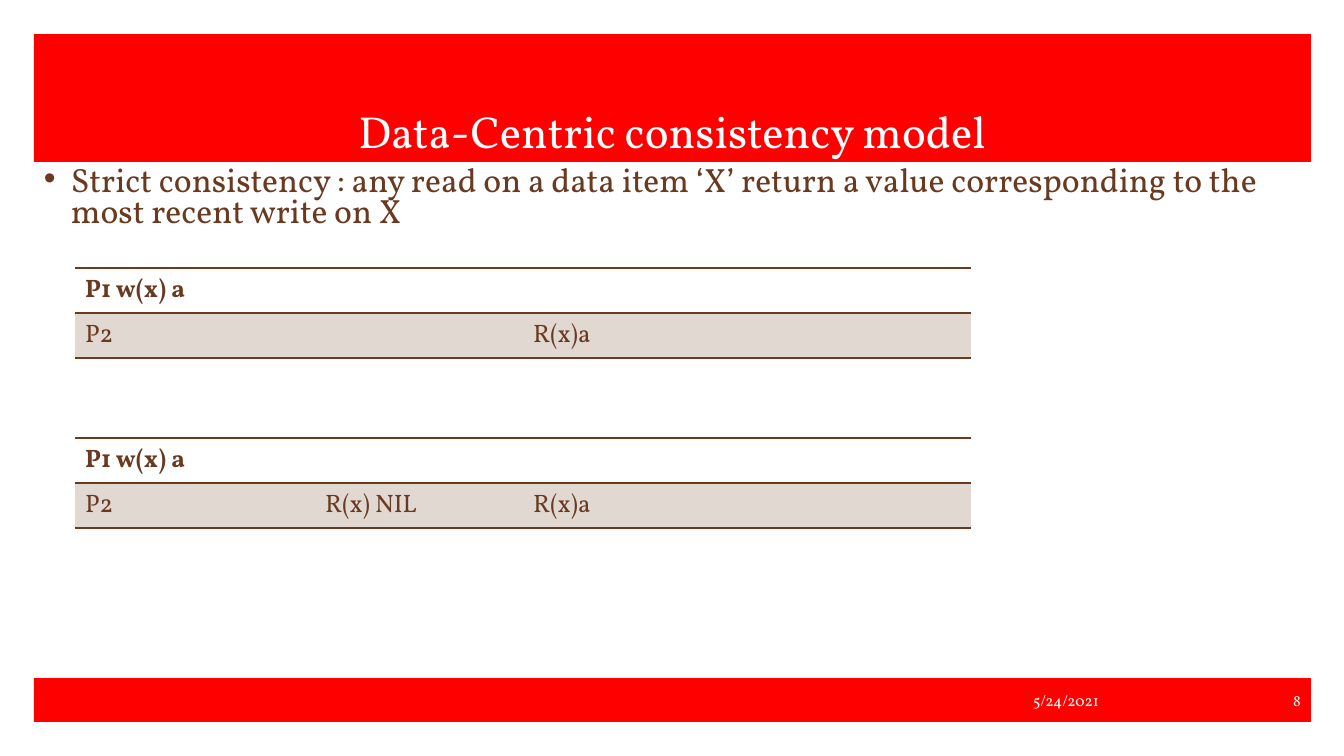
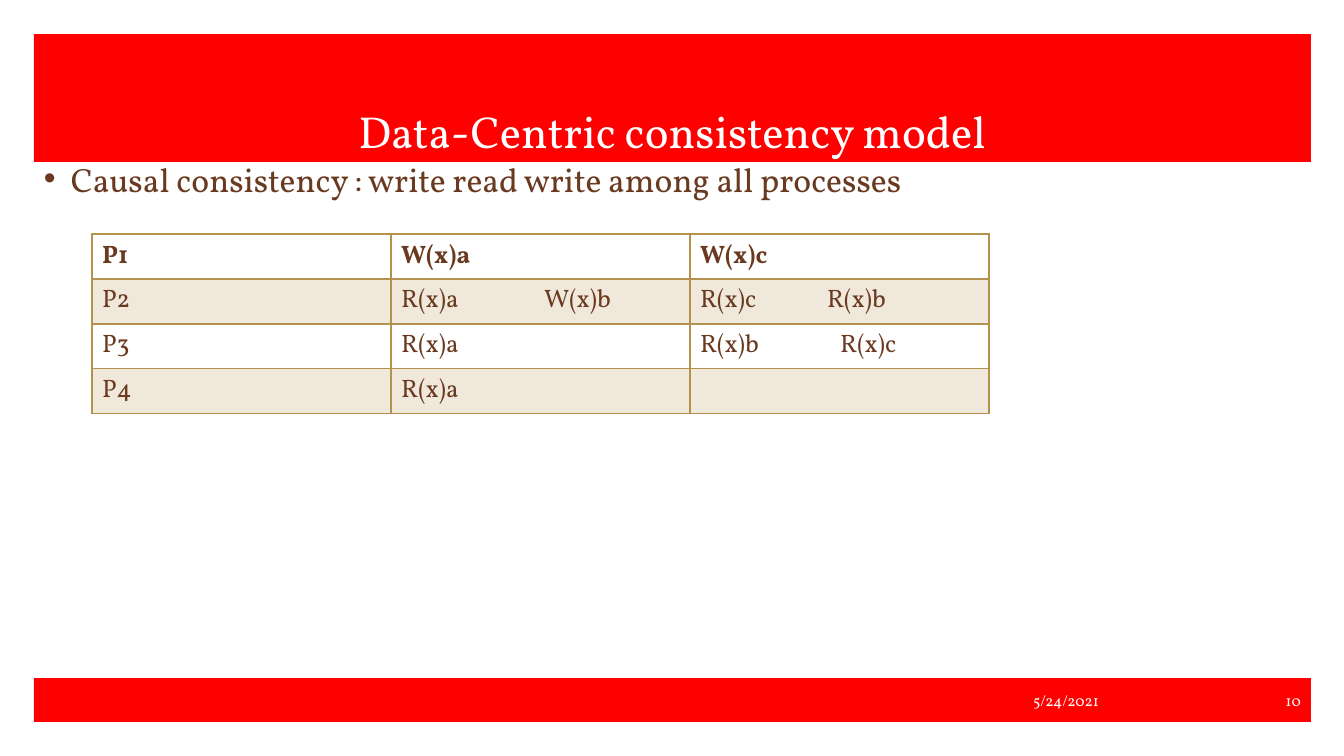
"""Two slides on data-centric consistency models, with tables of reads and writes."""
from lxml.etree import SubElement
from pptx import Presentation
from pptx.dml.color import RGBColor
from pptx.enum.shapes import MSO_SHAPE as SHAPE
from pptx.enum.text import MSO_ANCHOR as ANCHOR, PP_ALIGN as ALIGN
from pptx.oxml.ns import qn
from pptx.util import Emu, Pt

RED = RGBColor(0xFF, 0x00, 0x00)
WHITE = RGBColor(0xFF, 0xFF, 0xFF)
BROWN = RGBColor(0x6A, 0x3A, 0x20)
BROWN_TINT = RGBColor(0xE1, 0xD8, 0xD2)
GOLD = RGBColor(0xB4, 0x91, 0x4C)
GOLD_TINT = RGBColor(0xF0, 0xE9, 0xDB)
FONT = "Vollkorn"
EMU_PER_PX = 914400 / 100.8
LEFT, WIDTH, ROW_HEIGHT = 34, 1277, 45


def px(n):
    return Emu(round(n * EMU_PER_PX))


def write(tf, text, size=18, color=BROWN, bold=False, align=ALIGN.LEFT,
          anchor=ANCHOR.TOP, spacing=None, bullet=None, indent=0, tab=None):
    tf.word_wrap = True
    tf.vertical_anchor = anchor
    p = tf.paragraphs[0]
    p.alignment = align
    if spacing:
        p.line_spacing = spacing
    pPr = p._p.get_or_add_pPr()
    if bullet:
        pPr.set("marL", str(px(indent)))
        pPr.set("indent", str(-px(indent)))
        SubElement(pPr, qn("a:buFont"), typeface="Arial")
        SubElement(pPr, qn("a:buChar"), char=bullet)
    if tab:
        tabs = SubElement(pPr, qn("a:tabLst"))
        SubElement(tabs, qn("a:tab"), pos=str(px(tab)), algn="l")
    r = p.add_run()
    r.text = text
    r.font.name, r.font.size, r.font.bold = FONT, Pt(size), bold
    r.font.color.rgb = color


def set_borders(cell, color, **widths):
    tcPr = cell._tc.get_or_add_tcPr()
    for side in "LRTB":
        width = widths.get(side, 0)
        ln = SubElement(tcPr, qn(f"a:ln{side}"), w=str(Pt(width)))
        if width:
            fill = SubElement(ln, qn("a:solidFill"))
            SubElement(fill, qn("a:srgbClr"), val=str(color))
        else:
            SubElement(ln, qn("a:noFill"))


class Deck:
    def __init__(self):
        self.prs = Presentation()
        self.prs.slide_width, self.prs.slide_height = px(1344), px(756)
        self.s = None

    def slide(self, title, date, number):
        self.s = self.prs.slides.add_slide(self.prs.slide_layouts[6])
        self.band(LEFT, 34, WIDTH, 128, title, size=32, align=ALIGN.CENTER,
                  anchor=ANCHOR.BOTTOM)
        split = 1109
        for x, right, text in ((LEFT, split, date), (split, LEFT + WIDTH, number)):
            self.band(x, 678, right - x, 44, text, size=11, align=ALIGN.RIGHT,
                      anchor=ANCHOR.MIDDLE)

    def band(self, x, y, w, h, text, **style):
        sp = self.s.shapes.add_shape(SHAPE.RECTANGLE, px(x), px(y), px(w), px(h))
        sp.shadow.inherit = False
        sp.fill.solid()
        sp.fill.fore_color.rgb = RED
        sp.line.fill.background()
        write(sp.text_frame, text, color=WHITE, **style)

    def body(self, text):
        sp = self.s.shapes.add_textbox(px(LEFT), px(162), px(WIDTH), px(507))
        write(sp.text_frame, text, size=24, spacing=0.78, bullet="•", indent=27)

    def table(self, x, y, col_width, rows, line, tint, grid=False, tabs=None):
        n_rows, n_cols = len(rows), len(rows[0])
        frame = self.s.shapes.add_table(n_rows, n_cols, px(x), px(y),
                                        px(col_width * n_cols), px(ROW_HEIGHT * n_rows))
        table = frame.table
        table.first_row = table.horz_banding = False
        for column in table.columns:
            column.width = px(col_width)
        for i, row in enumerate(rows):
            for j, text in enumerate(row):
                cell = table.cell(i, j)
                sides = {"T": 2 if grid and i == 1 else 1,
                         "B": 2 if grid and i == 0 else 1}
                if grid:
                    sides.update(L=1, R=1)
                set_borders(cell, line, **sides)
                if i % 2:
                    cell.fill.solid()
                    cell.fill.fore_color.rgb = tint
                else:
                    cell.fill.background()
                if text:
                    write(cell.text_frame, text, bold=i == 0, tab=(tabs or {}).get((i, j)))


def main():
    deck = Deck()
    title, date = "Data-Centric consistency model", "5/24/2021"

    deck.slide(title, date, "8")
    deck.body("Strict consistency : any read on a data item ‘X’ return a value "
              "corresponding to the most recent write on X")
    for y, reads in ((268, "P2"), (438, "P2\tR(x) NIL")):
        deck.table(75, y, 448, [["P1 w(x) a", ""], [reads, "R(x)a"]],
                   BROWN, BROWN_TINT, tabs={(1, 0): 240})

    deck.slide(title, date, "10")
    deck.body("Causal consistency : write read write among all processes")
    deck.table(92, 234, 299,
               [["P1", "W(x)a", "W(x)c"],
                ["P2", "R(x)a\tW(x)b", "R(x)c\tR(x)b"],
                ["P3", "R(x)a", "R(x)b\tR(x)c"],
                ["P4", "R(x)a", ""]],
               GOLD, GOLD_TINT, grid=True,
               tabs={(1, 1): 143, (1, 2): 127, (2, 2): 140})

    deck.prs.save("out.pptx")


if __name__ == "__main__":
    main()
